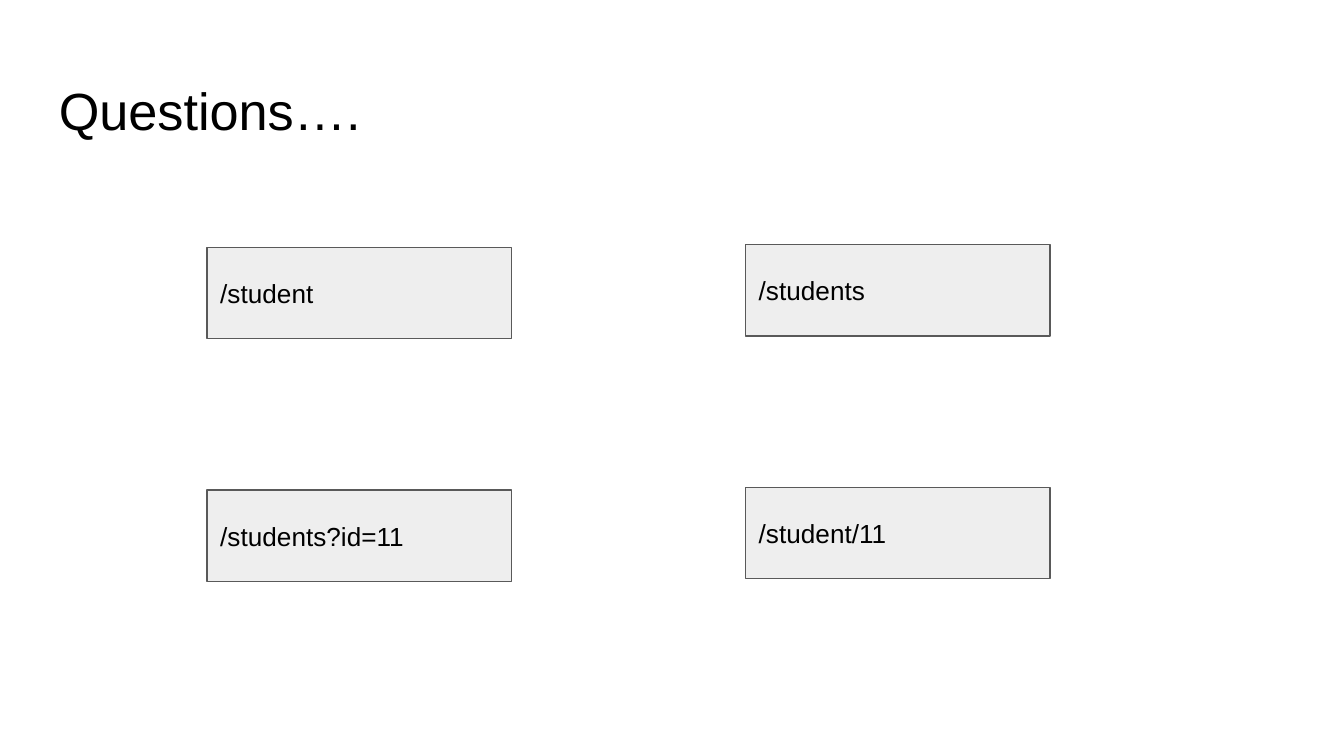
import pptx
import pptx.util
import pptx.dml.color
import pptx.enum.shapes
import pptx.enum.text

SCALE = 6350
COLORS = {"text": "000000", "fill": "EEEEEE", "line": "595959", "back": "FFFFFF"}


def px(n):
    return pptx.util.Emu(n * SCALE)


def color(name):
    return pptx.dml.color.RGBColor.from_string(COLORS[name])


def write(frame, text, font="Arial", size=14, ink="text", anchor="MIDDLE"):
    frame.word_wrap = True
    frame.auto_size = pptx.enum.text.MSO_AUTO_SIZE.NONE
    frame.vertical_anchor = pptx.enum.text.MSO_ANCHOR[anchor]
    frame.margin_left = frame.margin_right = px(14)
    frame.margin_top = frame.margin_bottom = px(14)
    para = frame.paragraphs[0]
    para.alignment = pptx.enum.text.PP_ALIGN.LEFT
    para.line_spacing = 1.0
    para.space_before = pptx.util.Pt(0)
    run = para.add_run()
    run.text = text
    run.font.name = font
    run.font.size = pptx.util.Pt(size)
    run.font.color.rgb = color(ink)


class Page:
    font = "Arial"
    border = 0.75

    def __init__(self, deck):
        self.slide = deck.slides.add_slide(deck.slide_layouts[5])
        back = self.slide.background.fill
        back.solid()
        back.fore_color.rgb = color("back")

    def title(self, text, x, y, w, h):
        shape = self.slide.shapes.title
        shape.left, shape.top, shape.width, shape.height = map(px, (x, y, w, h))
        write(shape.text_frame, text, font=self.font, size=28, anchor="TOP")

    def box(self, text, x, y, w, h):
        kind = pptx.enum.shapes.MSO_SHAPE.FLOWCHART_PROCESS
        shape = self.slide.shapes.add_shape(kind, *map(px, (x, y, w, h)))
        shape.shadow.inherit = False
        shape.fill.solid()
        shape.fill.fore_color.rgb = color("fill")
        shape.line.color.rgb = color("line")
        shape.line.width = pptx.util.Pt(self.border)
        write(shape.text_frame, text, font=self.font)


def main():
    deck = pptx.Presentation()
    deck.slide_width, deck.slide_height = px(1440), px(810)
    page = Page(deck)
    page.title("Questions….", 49, 70, 1342, 90)
    routes = [["/student", "/students"], ["/students?id=11", "/student/11"]]
    for row, texts in enumerate(routes):
        for col, text in enumerate(texts):
            page.box(text, 222 + 577 * col, 265 + 260 * row - 3 * col, 326, 98)
    deck.save("out.pptx")


if __name__ == "__main__":
    main()
